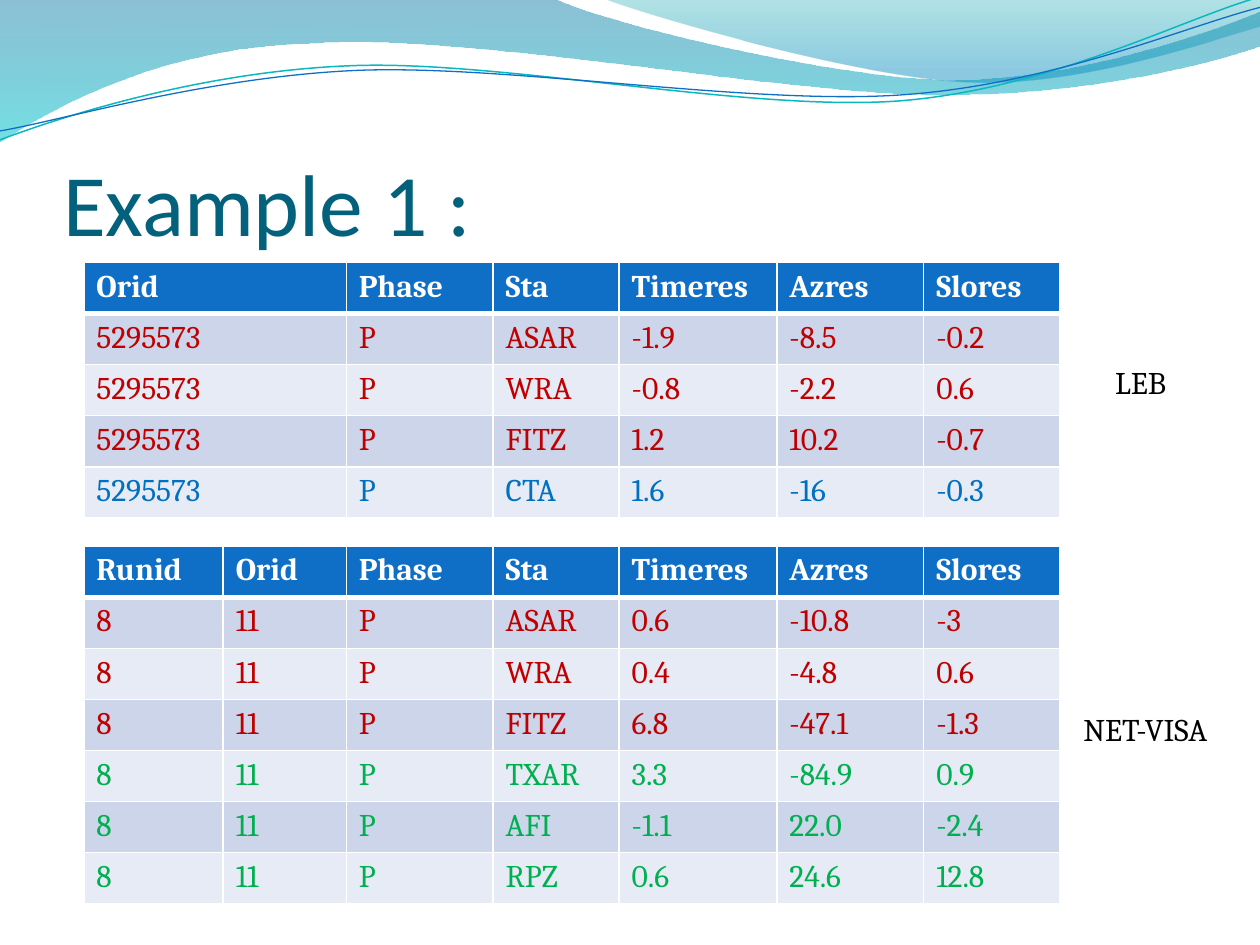
"""Builds a slide comparing LEB and NET-VISA residual tables under a wave banner."""
from lxml.etree import Element, SubElement
from pptx import Presentation
from pptx.dml.color import RGBColor
from pptx.enum.text import MSO_ANCHOR as Anchor, MSO_AUTO_SIZE as AutoSize, PP_ALIGN as Align
from pptx.oxml.ns import qn
from pptx.util import Cm, Pt

COLORS = {
    "title": "04617B", "header": "0F6FC6", "white": "FFFFFF", "black": "000000",
    "band_dark": "CCD5EA", "band_light": "E7EBF5",
    "red": "C00000", "blue": "0070C0", "green": "00B050",
    "deep": "0074A1", "cyan": "00C6CF", "teal": "00A1A9", "sky": "008BBF",
    "teal_line": "0AB8BF", "blue_line": "0F6FC6",
}


def style_text(run, size, font_name, color, bold=False):
    for key, value in {"size": Pt(size), "name": font_name, "bold": bold}.items():
        setattr(run.font, key, value)
    run.font.color.rgb = RGBColor.from_string(COLORS[color])


def draw_wave(start, segments, close):
    builder = slide.shapes.build_freeform(Cm(start[0]), Cm(start[1]))
    builder.add_line_segments([(Cm(x), Cm(y)) for segment in segments for x, y in segment],
                              close=close)
    wave = builder.convert_to_shape()
    wave.shadow.inherit = False
    steps = iter(list(wave._element.iter(qn("a:lnTo"))))
    for segment in segments:
        group = [next(steps) for _ in segment]
        if len(group) == 3:
            curve = Element(qn("a:cubicBezTo"))
            group[0].addprevious(curve)
            for step in group:
                curve.append(step[0])
                step.getparent().remove(step)
    return wave


prs = Presentation()
prs.slide_width, prs.slide_height = Cm(25.4), Cm(19.05)
slide = prs.slides.add_slide(prs.slide_layouts[5])

bands = [
    ((0, 0), [
        ((11.18, -0.03),),
        ((12.09, 0.43), (16.87, 1.6), (19.25, 1.6)),
        ((21.67, 1.6), (24.33, 0.66), (25.4, 0.23)),
        ((25.43, 0.91),),
        ((24.97, 1.12), (22.1, 1.93), (18.95, 1.91)),
        ((15.8, 1.91), (9.7, 0.71), (6.53, 0.86)),
        ((3.28, 0.91), (1.17, 2.11), (-0.03, 2.87)),
        ((0, 0),),
    ], [("deep", 0, 45), ("cyan", 1, 55)]),
    ((12.17, -0.03), [
        ((12.93, 0.28), (17.32, 1.57), (19.53, 1.65)),
        ((21.74, 1.75), (24.41, 0.81), (25.4, 0.53)),
        ((25.4, 0),),
        ((12.17, -0.03),),
    ], [("teal", 0, 30), ("sky", 0.8, 45)]),
]
for start, segments, stops in bands:
    band = draw_wave(start, segments, True)
    band.line.fill.background()
    band.fill.gradient()
    band.fill.gradient_angle = 270
    for stop, (color, position, _) in zip(band.fill.gradient_stops, stops):
        stop.color.rgb = RGBColor.from_string(COLORS[color])
        stop.position = position
    for tint, (_, _, opacity) in zip(band._element.spPr.iter(qn("a:srgbClr")), stops):
        SubElement(tint, qn("a:alpha")).set("val", str(opacity * 1000))

strands = [
    ((-0.05, 2.22), [
        ((1.19, 1.82), (4.02, 1.04), (7.05, 1.06)),
        ((10.05, 1.07), (15.02, 2.37), (18.08, 2.29)),
        ((21.13, 2.2), (23.87, 0.91), (25.41, 0.55)),
    ], "teal_line", 0.85),
    ((-0.04, 2.04), [
        ((1.16, 1.9), (4.18, 1.15), (7.2, 1.16)),
        ((10.25, 1.18), (15.13, 2.25), (18.18, 2.17)),
        ((21.21, 2.1), (23.93, 1.06), (25.45, 0.75)),
    ], "blue_line", 0.75),
]
for start, segments, color, width in strands:
    strand = draw_wave(start, segments, False)
    strand.rotation = 357.3
    strand.fill.background()
    strand.line.color.rgb = RGBColor.from_string(COLORS[color])
    strand.line.width = Pt(width)

title = slide.shapes.title
slide.shapes._spTree.append(title._element)
for key, value in {"left": Cm(1.27), "top": Cm(1.96),
                   "width": Cm(22.86), "height": Cm(3.17)}.items():
    setattr(title, key, value)
title.text_frame.text = "Example 1 :"
for key, value in {"vertical_anchor": Anchor.BOTTOM, "auto_size": AutoSize.NONE,
                   "margin_left": 0, "margin_right": 0,
                   "margin_top": Cm(0.13), "margin_bottom": 0}.items():
    setattr(title.text_frame, key, value)
heading = title.text_frame.paragraphs[0]
heading.alignment = Align.LEFT
style_text(heading.runs[0], 50, "Calibri", "title")

row_height = 1.03
shared_widths = [2.96, 2.54, 3.18, 2.96, 2.75]
shared_heads = ["Phase", "Sta", "Timeres", "Azres", "Slores"]
header_borders = [("a:lnL", 1), ("a:lnR", 1), ("a:lnT", 1), ("a:lnB", 3)]
results = [
    (11.01, ["Runid", "Orid"], [2.81, 2.48], ["8", "11"], [
        ("red", "ASAR", "0.6", "-10.8", "-3"),
        ("red", "WRA", "0.4", "-4.8", "0.6"),
        ("red", "FITZ", "6.8", "-47.1", "-1.3"),
        ("green", "TXAR", "3.3", "-84.9", "0.9"),
        ("green", "AFI", "-1.1", "22.0", "-2.4"),
        ("green", "RPZ", "0.6", "24.6", "12.8"),
    ]),
    (5.29, ["Orid"], [5.29], ["5295573"], [
        ("red", "ASAR", "-1.9", "-8.5", "-0.2"),
        ("red", "WRA", "-0.8", "-2.2", "0.6"),
        ("red", "FITZ", "1.2", "10.2", "-0.7"),
        ("blue", "CTA", "1.6", "-16", "-0.3"),
    ]),
]
for top, id_heads, id_widths, ids, arrivals in results:
    widths = id_widths + shared_widths
    rows = [("white", id_heads + shared_heads)]
    rows += [(color, ids + ["P", *values]) for color, *values in arrivals]
    residuals = slide.shapes.add_table(len(rows), len(widths), Cm(1.69), Cm(top),
                                       Cm(sum(widths)), Cm(row_height * len(rows))).table
    for column, width in zip(residuals.columns, widths):
        column.width = Cm(width)
    for r, (color, values) in enumerate(rows):
        residuals.rows[r].height = Cm(row_height)
        fill = "header" if r == 0 else "band_dark" if r % 2 else "band_light"
        for c, value in enumerate(values):
            cell = residuals.cell(r, c)
            cell.text = value
            style_text(cell.text_frame.paragraphs[0].runs[0], 18, "Cambria", color, r == 0)
            for side, weight in header_borders if r == 0 else []:
                border = SubElement(cell._tc.get_or_add_tcPr(), qn(side), w=str(Pt(weight)))
                ink = SubElement(border, qn("a:solidFill"))
                SubElement(ink, qn("a:srgbClr"), val=COLORS["white"])
            cell.fill.solid()
            cell.fill.fore_color.rgb = RGBColor.from_string(COLORS[fill])

for name, left, top, width in [("LEB", 22.23, 7.2, 1.63), ("NET-VISA", 21.59, 14.18, 3.4)]:
    label = slide.shapes.add_textbox(Cm(left), Cm(top), Cm(width), Cm(1.03)).text_frame
    label.text = name
    label.word_wrap = False
    label.auto_size = AutoSize.SHAPE_TO_FIT_TEXT
    style_text(label.paragraphs[0].runs[0], 18, "Cambria", "black")

prs.save("out.pptx")
